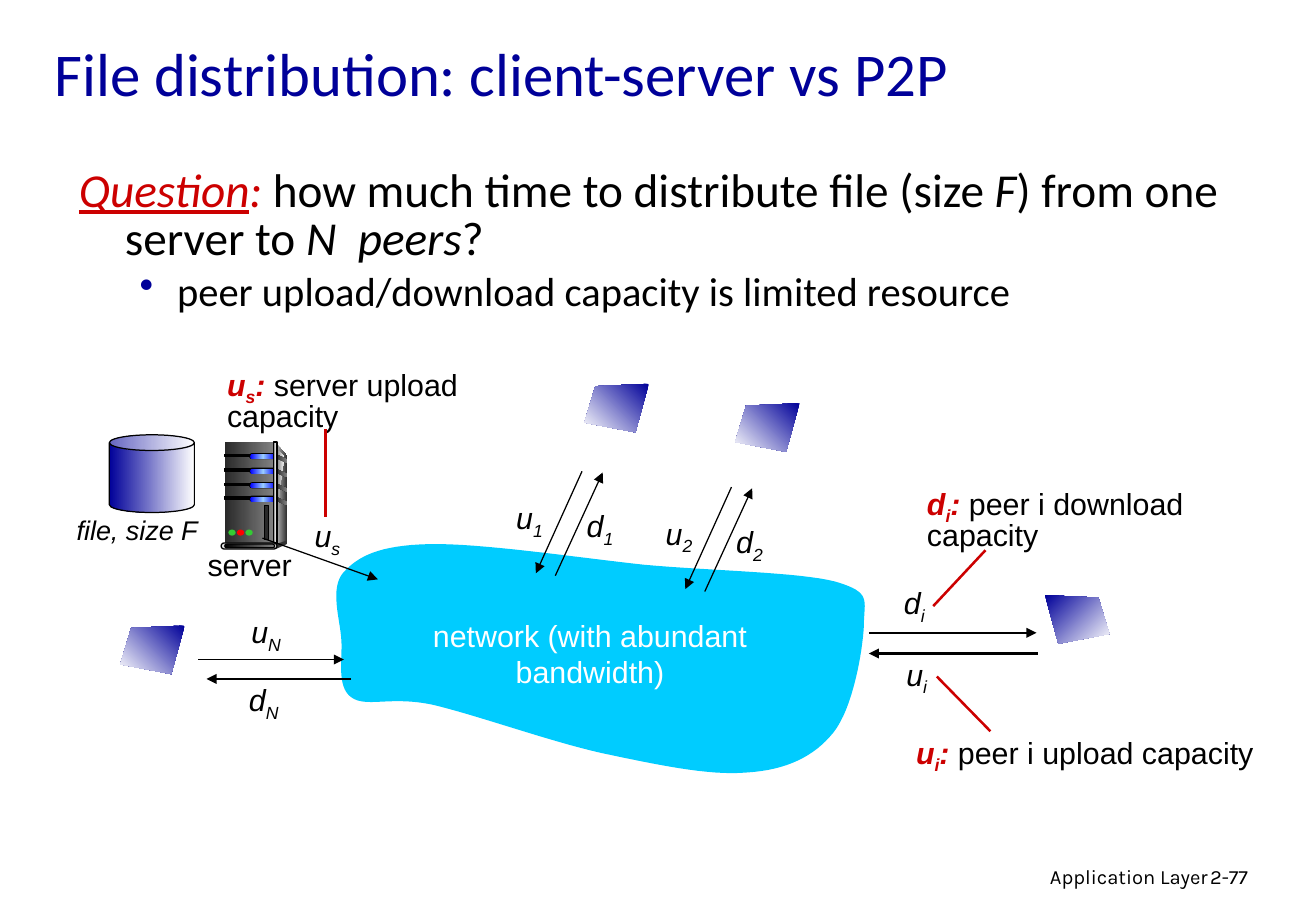
from copy import deepcopy

from lxml.etree import SubElement
from pptx import Presentation
from pptx.dml.color import RGBColor
from pptx.enum.shapes import MSO_CONNECTOR as Line, MSO_SHAPE as Shape
from pptx.enum.text import MSO_ANCHOR as Anchor, PP_ALIGN as Align
from pptx.oxml.ns import qn
from pptx.util import Cm, Pt

THEME = {
    "navy": "000099", "red": "CC0000", "black": "000000", "white": "FFFFFF", "sky": "00CCFF",
    "peer": ["000099", "FFFFFF"], "front": ["292929", "808080"], "side": ["DDDDDD", "333333"],
    "panel": ["808080", "F8F8F8"], "rail": ["333333", "DDDDDD", "333333"],
    "drive": ["0000FF", "99CCFF", "0000FF"], "base": ["000000", "808080"],
    "dark": "292929", "foot": "333333", "plinth": "DDDDDD", "green": "33CC33", "lamp": "FF0000",
    "title": 36, "question": 28, "point": 24, "label": 18, "file": 16, "footer": 12,
    "thin": 0.75, "thick": 1.5,
    "heading": "Calibri", "body": "Arial", "foot font": "Karla",
}
RED_TERM = {"color": "red", "bold": True, "italic": True}
ITALIC = {"italic": True}

# All places below are in inches: left, top, width, height.
TITLE = "File distribution: client-server vs P2P"
QUESTION = [
    ("Question", {"color": "red", "italic": True, "underline": True}),
    (":", {"color": "red", "italic": True}),
    (" how much time to distribute file (size ", {}), ("F", ITALIC),
    (") from one server to ", {}), ("N  peers", ITALIC), ("?", {}),
]
POINT = [("peer upload/download capacity is limited resource", {})]
NETWORK_TEXT = ["network (with abundant", "bandwidth)"]
CAPACITIES = [  # symbol, index, meaning, place
    ("u", "s", " server upload capacity", (1.77, 2.98, 2.39, 0.61)),
    ("u", "i", " peer i upload capacity", (7.44, 6.01, 3.07, 0.36)),
    ("d", "i", " peer i download capacity", (7.53, 3.96, 2.51, 0.61)),
]
SYMBOLS = [  # symbol, index, left, top
    ("u", "s", 2.49, 4.21), ("u", "N", 1.97, 5.0), ("d", "N", 1.95, 5.56),
    ("d", "i", 7.34, 4.76), ("u", "i", 7.36, 5.35),
]
ARROWS = [  # from, to, weight
    ((2.16, 4.43), (3.11, 4.77), "thin"),
    ((1.63, 5.43), (2.83, 5.43), "thin"), ((2.89, 5.59), (1.7, 5.59), "thin"),
    ((7.15, 5.21), (8.53, 5.21), "thick"), ((8.54, 5.38), (7.15, 5.38), "thick"),
]
POINTERS = [((2.68, 3.53), (2.68, 4.26)), ((8.11, 4.53), (7.68, 4.99)), ((8.15, 6.02), (7.71, 5.57))]
TOP_PEERS = ["1", "2"]
TOP_PEER_STEP = (1.23, 0.13)
TOP_SYMBOLS = [("u", 4.15, 4.06), ("d", 4.73, 4.13)]
TOP_ARROWS = [((4.79, 3.88), (4.41, 4.72)), ((4.57, 4.74), (4.96, 3.89))]
PEERS = [(0.99, 5.15, False), (4.81, 3.16, False), (6.05, 3.32, False), (8.6, 4.9, True)]
PEER_WIDTH = 0.53
PEER_OUTLINE = [(0.53, 0), (0.09, 0.02), (0, 0.32), (0.42, 0.4)]
NETWORK_START = (3.53, 4.48)
NETWORK_CURVES = [  # two control points and an end each
    ((3.12, 4.49), (2.95, 4.58), (2.83, 4.71)), ((2.71, 4.84), (2.8, 5.1), (2.81, 5.27)),
    ((2.82, 5.44), (2.77, 5.65), (2.89, 5.74)), ((3.01, 5.83), (3.21, 5.73), (3.55, 5.8)),
    ((3.9, 5.88), (4.51, 6.1), (4.95, 6.2)), ((5.38, 6.29), (5.83, 6.39), (6.15, 6.36)),
    ((6.47, 6.34), (6.7, 6.23), (6.86, 6.03)), ((7.02, 5.83), (7.1, 5.36), (7.11, 5.15)),
    ((7.11, 4.94), (7.18, 4.88), (6.88, 4.79)), ((6.58, 4.71), (5.85, 4.7), (5.3, 4.65)),
    ((4.75, 4.59), (3.95, 4.47), NETWORK_START),
]
SERVER_SIDE = [(2.27, 3.65), (2.36, 3.75), (2.36, 4.45), (2.25, 4.48)]
SERVER_PANEL = [(2.28, 3.7), (2.34, 3.76), (2.3, 4.05), (2.28, 4.46)]
SERVER_FOOT = [(2.27, 4.48), (2.27, 4.52), (2.36, 4.48), (2.36, 4.45)]
VENT = [(2.27, 0), (2.36, 0.04), (2.36, 0.07), (2.27, 0.03)]
DRIVE_TOPS = [3.74, 3.86, 3.98, 4.09]
LAMPS = [(1.88, "green"), (1.95, "lamp"), (2.02, "green")]


def length(inches):
    return Cm(inches * 2.54)


def rgb(name):
    return RGBColor.from_string(THEME.get(name, name))


def assign(target, values):
    for attribute, value in values.items():
        setattr(target, attribute, value)


def paint(shape, color, line=None, angle=0):
    """Fill with a theme colour, or with evenly spaced stops when it names a list."""
    shape.shadow.inherit = False
    if isinstance(THEME[color], list):
        shape.fill.gradient()
        shape.fill.gradient_angle = angle
        colors = THEME[color]
        stop_list = shape._element.spPr.find(qn("a:gradFill")).find(qn("a:gsLst"))
        while len(stop_list) < len(colors):
            stop_list.append(deepcopy(stop_list[0]))
        for i, stop in enumerate(shape.fill.gradient_stops):
            stop.color.rgb = rgb(colors[i])
            stop.position = i / (len(colors) - 1)
    else:
        shape.fill.solid()
        shape.fill.fore_color.rgb = rgb(color)
    if line:
        shape.line.color.rgb = rgb(line)
        shape.line.width = Pt(THEME["thin"])
    else:
        shape.line.fill.background()


def add_preset(kind, place, color, line=None, roundness=None):
    shape = slide.shapes.add_shape(kind, *map(length, place))
    if roundness is not None:
        shape.adjustments[0] = roundness
    paint(shape, color, line)


def add_outline(points, color, angle=0):
    corners = [(length(x), length(y)) for x, y in points]
    builder = slide.shapes.build_freeform(*corners[0])
    builder.add_line_segments(corners[1:], close=True)
    paint(builder.convert_to_shape(), color, angle=angle)


def add_line(start, end, color="black", weight="thin", arrow=True):
    connector = slide.shapes.add_connector(Line.STRAIGHT, *map(length, start + end))
    assign(connector.line, {"width": Pt(THEME[weight])})
    connector.line.color.rgb = rgb(color)
    if arrow:
        SubElement(connector.line._get_or_add_ln(), qn("a:tailEnd"), type="triangle")
    SubElement(connector._element.spPr, qn("a:effectLst"))


def write(paragraph, runs, size="label", font="body", **layout):
    assign(paragraph, layout)
    for text, look in runs:
        run = paragraph.add_run()
        run.text = text
        look = {"color": "black", "lowered": False, **look}
        run.font.color.rgb = rgb(look.pop("color"))
        if look.pop("lowered"):
            run._r.get_or_add_rPr().set("baseline", "-25000")
        assign(run.font, {"size": Pt(THEME[size]), "name": THEME[font], **look})


def add_text(place, runs, wrap=True, anchor=Anchor.TOP, **style):
    frame = slide.shapes.add_textbox(*map(length, place)).text_frame
    assign(frame, {"word_wrap": wrap, "vertical_anchor": anchor})
    write(frame.paragraphs[0], runs, **style)
    return frame


def indent(paragraph, left, hanging):
    properties = paragraph._p.get_or_add_pPr()
    properties.set("marL", str(length(left)))
    properties.set("indent", str(-length(hanging)))
    return properties


def add_symbol(letter, index, left, top):
    add_text((left, top, 0.72, 0.4), [(letter, ITALIC), (index, {**ITALIC, "lowered": True})])


def sample_curves(start, curves, steps=16):
    """Points along a chain of cubic Bézier curves."""
    points = [start]
    for a, b, end in curves:
        for t in (i / steps for i in range(1, steps + 1)):
            weights = ((1 - t) ** 3, 3 * t * (1 - t) ** 2, 3 * t * t * (1 - t), t ** 3)
            points.append(tuple(sum(w * p[axis] for w, p in zip(weights, (start, a, b, end)))
                                for axis in (0, 1)))
        start = end
    return points[:-1]


def add_server():
    add_outline(SERVER_SIDE, "side")
    add_preset(Shape.RECTANGLE, (1.85, 3.64, 0.4, 0.84), "front")
    add_outline(SERVER_PANEL, "panel")
    for top in DRIVE_TOPS:
        add_outline([(x, top + y) for x, y in VENT], "front")
        add_preset(Shape.RECTANGLE, (1.85, top, 0.23, 0.02), "black", "black")
        add_preset(Shape.ROUNDED_RECTANGLE, (2.05, top - 0.01, 0.23, 0.05), "black", None, 0.5)
        add_preset(Shape.ROUNDED_RECTANGLE, (2.06, top, 0.21, 0.04), "drive", None, 0.5)
    add_preset(Shape.RECTANGLE, (2.25, 3.64, 0.03, 0.84), "rail", "black")
    add_outline(SERVER_FOOT, "foot")
    add_preset(Shape.ROUNDED_RECTANGLE, (1.82, 4.47, 0.46, 0.05), "plinth", "black", 0.5)
    add_preset(Shape.ROUNDED_RECTANGLE, (1.85, 4.48, 0.41, 0.03), "base", "black", 0.5)
    for left, color in LAMPS:
        add_preset(Shape.OVAL, (left, 4.36, 0.06, 0.05), color)
    add_preset(Shape.RECTANGLE, (2.18, 4.16, 0.03, 0.28), "dark", "black")


deck = Presentation()
assign(deck, {"slide_width": length(10.83), "slide_height": length(7.5)})
slide = deck.slides.add_slide(deck.slide_layouts[6])

add_text((0.35, 0.17, 10.09, 0.85), [(TITLE, {"color": "navy"})],
         anchor=Anchor.MIDDLE, size="title", font="heading")
intro = add_text((0.55, 1.34, 9.78, 0.97), QUESTION, size="question", font="heading", line_spacing=0.85)
indent(intro.paragraphs[0], 0.38, 0.38)
point = intro.add_paragraph()
bullet = indent(point, 0.81, 0.31)
SubElement(SubElement(bullet, qn("a:buClr")), qn("a:srgbClr"), val=THEME["navy"])
SubElement(bullet, qn("a:buChar"), char="•")
write(point, POINT, size="point", font="heading", line_spacing=0.85, space_before=Pt(4.8))

add_outline(sample_curves(NETWORK_START, NETWORK_CURVES), "sky")
network = add_text((3.45, 5.03, 2.81, 0.71), [(NETWORK_TEXT[0], {"color": "white"})],
                   wrap=False, alignment=Align.CENTER)
write(network.add_paragraph(), [(NETWORK_TEXT[1], {"color": "white"})], alignment=Align.CENTER)

add_preset(Shape.CAN, (0.9, 3.58, 0.7, 0.64), "peer", "black", 0.202)
add_server()
add_text((1.36, 4.45, 1.39, 0.4), [("server", {})], alignment=Align.CENTER)
add_text((0.3, 4.18, 1.66, 0.37), [("file, size F", ITALIC)], size="file", alignment=Align.CENTER)

for left, top, mirrored in PEERS:
    add_outline([(left + (PEER_WIDTH - x if mirrored else x), top + y) for x, y in PEER_OUTLINE],
                "peer", 315 if mirrored else 225)
for start, end, weight in ARROWS:
    add_line(start, end, weight=weight)
for number, index in enumerate(TOP_PEERS):
    dx, dy = (number * step for step in TOP_PEER_STEP)
    for letter, left, top in TOP_SYMBOLS:
        add_symbol(letter, index, left + dx, top + dy)
    for ends in TOP_ARROWS:
        add_line(*((x + dx, y + dy) for x, y in ends))
for symbol in SYMBOLS:
    add_symbol(*symbol)
for letter, index, meaning, place in CAPACITIES:
    add_text(place, [(letter, RED_TERM), (index, {**RED_TERM, "lowered": True}), (":", RED_TERM),
                     (meaning, {})], line_spacing=0.85)
for start, end in POINTERS:
    add_line(start, end, "red", "thick", arrow=False)

add_text((6.61, 7.07, 3.43, 0.31), [("Application Layer", {})],
         size="footer", font="foot font", alignment=Align.RIGHT)
add_text((9.86, 7.07, 0.8, 0.3), [("2-77", {})], size="footer", font="foot font")

deck.save("out.pptx")
